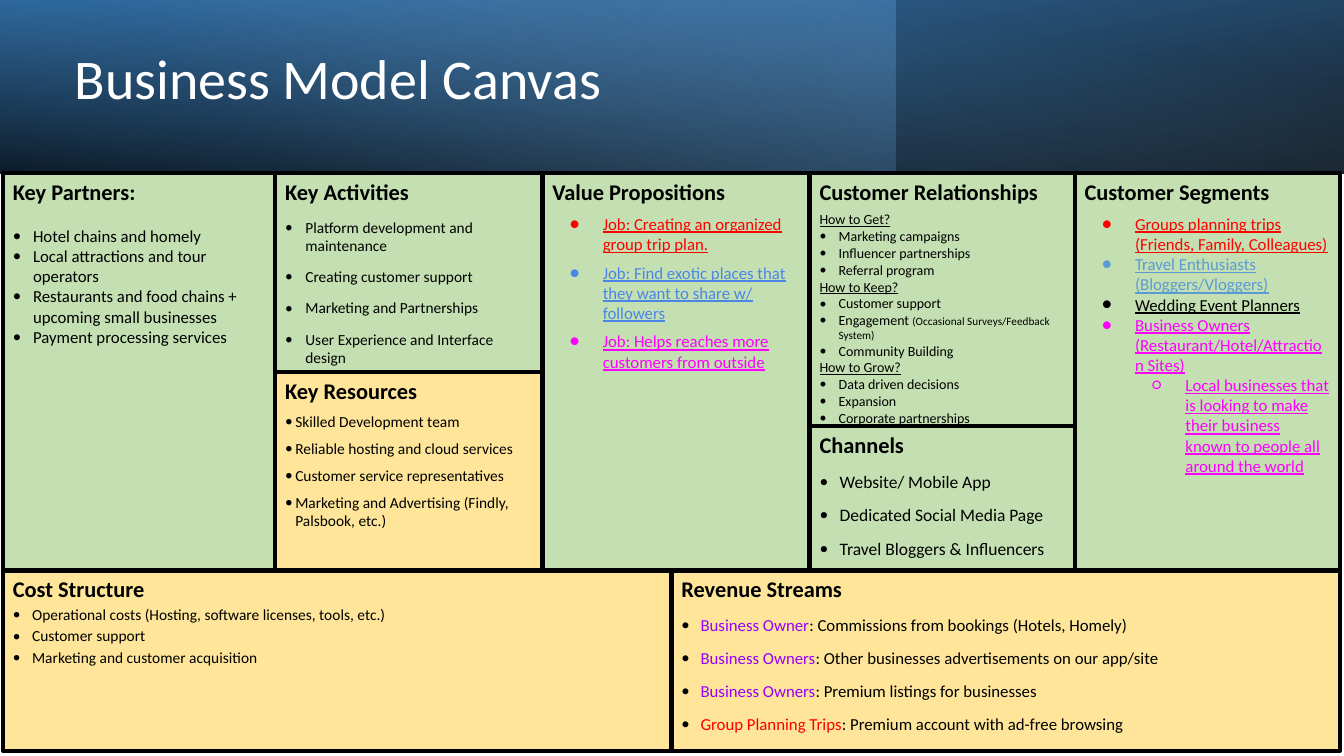
from dataclasses import dataclass

import lxml.etree
import pptx
import pptx.dml.color
import pptx.enum.shapes
import pptx.enum.text
import pptx.oxml.ns
import pptx.util

Inches = pptx.util.Inches
Pt = pptx.util.Pt
qn = pptx.oxml.ns.qn

SLIDE_WIDTH, SLIDE_HEIGHT = 13.33, 7.5
BANNER_HEIGHT = 1.72
FONT = "Calibri"
COLORS = {
    "white": "FFFFFF", "black": "000000", "green": "C4E0B2", "yellow": "FEE599",
    "deep blue": "2E75B5", "blue": "5B9BD5", "pale blue": "9CC2E5",
    "red": "FF0000", "bright blue": "4A86E8", "magenta": "FF00FF", "purple": "9900FF",
}
# Grid lines of the canvas, in inches
COLUMNS = {"left": 0.03, "activities": 2.73, "value": 5.38, "middle": 6.66,
           "relations": 8.03, "segments": 10.66, "right": 13.29}
ROWS = {"top": 1.72, "resources": 3.69, "channels": 4.23, "money": 5.66, "bottom": 7.45}


@dataclass
class Entry:
    """One paragraph; runs are (text, colour) or (text, colour, size)."""
    runs: list
    size: float
    before: float = 0
    indent: float = 0
    hang: float = 0
    bullet: str = ""
    bullet_color: str = "black"
    underline: bool = False
    bold: bool = False
    level: int = 0


def bullets(texts, size, before=0, indent=0.2):
    return [Entry([(text, "black")], size, before, indent, indent, "•") for text in texts]


def question(text, before=0):
    return Entry([(text, "black")], 10, before, underline=True)


def job(text, color, before=0, indent=0.5, bullet="●", level=0):
    return Entry([(text, color)], 12, before, indent, 0.33, bullet, color, True, level=level)


def revenue(payer, source, color="purple"):
    return Entry([(payer, color), (": " + source, "black")], 12, 9, 0.19, 0.19, "•")


partners = bullets([
    "Hotel chains and homely", "Local attractions and tour operators",
    "Restaurants and food chains + upcoming small businesses",
    "Payment processing services"], 12)
partners[0].before = 14.6

engagement = Entry([("Engagement ", "black"), ("(Occasional Surveys/Feedback System)", "black", 8)],
                   10, 0, 0.19, 0.19, "•")
relationships = [
    question("How to Get?", 4),
    *bullets(["Marketing campaigns", "Influencer partnerships", "Referral program"], 10, 0, 0.19),
    question("How to Keep?"),
    *bullets(["Customer support"], 10, 0, 0.19),
    engagement,
    *bullets(["Community Building"], 10, 0, 0.19),
    question("How to Grow?"),
    *bullets(["Data driven decisions", "Expansion", "Corporate partnerships"], 10, 0, 0.19),
]

# heading, fill, (left, top, right, bottom) grid lines, entries
BLOCKS = [
    ("Cost Structure", "yellow", ("left", "money", "middle", "bottom"), bullets([
        "Operational costs (Hosting, software licenses, tools, etc.)",
        "Customer support", "Marketing and customer acquisition"], 11, 2, 0.19)),
    ("Key Partners:", "green", ("left", "top", "activities", "money"), partners),
    ("Key Activities", "green", ("activities", "top", "value", "resources"), bullets([
        "Platform development and maintenance", "Creating customer support",
        "Marketing and Partnerships", "User Experience and Interface design"], 11, 9)),
    ("Value Propositions", "green", ("value", "top", "relations", "money"), [
        job("Job: Creating an organized group trip plan.", "red", 6),
        job("Job: Find exotic places that they want to share w/ followers", "bright blue", 6),
        job("Job: Helps reaches more customers from outside", "magenta", 6)]),
    ("Customer Relationships", "green", ("relations", "top", "segments", "channels"),
     relationships),
    ("Customer Segments", "green", ("segments", "top", "right", "money"), [
        job("Groups planning trips (Friends, Family, Colleagues)", "red", 6),
        job("Travel Enthusiasts (Bloggers/Vloggers)", "blue"),
        job("Wedding Event Planners", "black"),
        job("Business Owners (Restaurant/Hotel/Attraction Sites)", "magenta"),
        job("Local businesses that is looking to make their business known to people "
            "all around the world", "magenta", indent=1, bullet="○", level=1)]),
    ("Channels", "green", ("relations", "channels", "segments", "money"), bullets([
        "Website/ Mobile App", "Dedicated Social Media Page",
        "Travel Bloggers & Influencers"], 12.5, 9)),
    ("Key Resources", "yellow", ("activities", "resources", "value", "money"), bullets([
        "Skilled Development team", "Reliable hosting and cloud services",
        "Customer service representatives",
        "Marketing and Advertising (Findly, Palsbook, etc.)"], 11, 6, 0.1)),
    ("Revenue Streams", "yellow", ("middle", "money", "right", "bottom"), [
        revenue("Business Owner", "Commissions from bookings (Hotels, Homely)"),
        revenue("Business Owners", "Other businesses advertisements on our app/site"),
        revenue("Business Owners", "Premium listings for businesses"),
        revenue("Group Planning Trips", "Premium account with ad-free browsing", "red")]),
]


def rgb(name):
    return pptx.dml.color.RGBColor.from_string(COLORS[name])


def add_box(slide, left, top, width, height):
    box = slide.shapes.add_shape(pptx.enum.shapes.MSO_SHAPE.RECTANGLE, Inches(left),
                                 Inches(top), Inches(width), Inches(height))
    box.shadow.inherit = False
    return box


def style_run(run, size, color):
    run.font.name = FONT
    run.font.size = Pt(size)
    run.font.color.rgb = rgb(color)


def add_gradient(slide, width, angle, stops, flip=False, rotation=0):
    """Banner layer; stops are (position %, colour, opacity %)."""
    layer = add_box(slide, 0, 0, width, BANNER_HEIGHT)
    layer.line.fill.background()
    layer.rotation = rotation
    properties = layer.element.spPr
    if flip:
        properties.find(qn("a:xfrm")).set("flipH", "1")
    gradient = lxml.etree.Element(qn("a:gradFill"), rotWithShape="1")
    stop_list = lxml.etree.SubElement(gradient, qn("a:gsLst"))
    for position, color, opacity in stops:
        stop = lxml.etree.SubElement(stop_list, qn("a:gs"), pos=str(position * 1000))
        tint = lxml.etree.SubElement(stop, qn("a:srgbClr"), val=COLORS[color])
        lxml.etree.SubElement(tint, qn("a:alpha"), val=str(opacity * 1000))
    lxml.etree.SubElement(gradient, qn("a:lin"), ang=str(angle * 60000), scaled="0")
    properties.find(qn("a:prstGeom")).addnext(gradient)


def build_banner(slide):
    add_gradient(slide, SLIDE_WIDTH, 100, [(0, "black", 95), (100, "deep blue", 100)], True, 180)
    add_gradient(slide, SLIDE_WIDTH * 2 / 3, 140,
                 [(0, "blue", 40), (74, "pale blue", 0), (100, "pale blue", 0)])
    add_gradient(slide, SLIDE_WIDTH, 260,
                 [(0, "black", 62), (78, "blue", 14), (100, "blue", 14)], True)
    title = slide.shapes.title
    title.left, title.top, title.width, title.height = map(Inches, (0.64, 0.33, 6.03, 0.96))
    slide.shapes._spTree.append(title.element)  # in front of the banner layers
    title.text_frame.vertical_anchor = pptx.enum.text.MSO_ANCHOR.MIDDLE
    paragraph = title.text_frame.paragraphs[0]
    paragraph.alignment = pptx.enum.text.PP_ALIGN.LEFT
    paragraph.line_spacing = 0.9
    run = paragraph.add_run()
    run.text = "Business Model Canvas"
    style_run(run, 40, "white")


def write_entry(paragraph, entry):
    paragraph.alignment = pptx.enum.text.PP_ALIGN.LEFT
    paragraph.level = entry.level
    paragraph.space_before = Pt(entry.before)
    if entry.bullet:
        properties = paragraph._p.get_or_add_pPr()
        properties.set("marL", str(Inches(entry.indent)))
        properties.set("indent", str(-Inches(entry.hang)))
        color = lxml.etree.SubElement(properties, qn("a:buClr"))
        lxml.etree.SubElement(color, qn("a:srgbClr"), val=COLORS[entry.bullet_color])
        lxml.etree.SubElement(properties, qn("a:buFont"), typeface=FONT)
        lxml.etree.SubElement(properties, qn("a:buChar"), char=entry.bullet)
    for text, color, *size in entry.runs:
        run = paragraph.add_run()
        run.text = text
        style_run(run, size[0] if size else entry.size, color)
        run.font.bold = entry.bold
        run.font.underline = entry.underline


def build_block(slide, heading, fill, lines, entries):
    left, right = COLUMNS[lines[0]], COLUMNS[lines[2]]
    top, bottom = ROWS[lines[1]], ROWS[lines[3]]
    block = add_box(slide, left, top, right - left, bottom - top)
    block.fill.solid()
    block.fill.fore_color.rgb = rgb(fill)
    block.line.color.rgb = rgb("black")
    block.line.width = Pt(3)
    frame = block.text_frame
    frame.word_wrap = True
    frame.vertical_anchor = pptx.enum.text.MSO_ANCHOR.TOP
    write_entry(frame.paragraphs[0], Entry([(heading, "black")], 16, bold=True))
    for entry in entries:
        write_entry(frame.add_paragraph(), entry)


def main():
    deck = pptx.Presentation()
    deck.slide_width, deck.slide_height = Inches(SLIDE_WIDTH), Inches(SLIDE_HEIGHT)
    slide = deck.slides.add_slide(deck.slide_layouts[5])
    build_banner(slide)
    for block in BLOCKS:
        build_block(slide, *block)
    deck.save("out.pptx")


if __name__ == "__main__":
    main()
